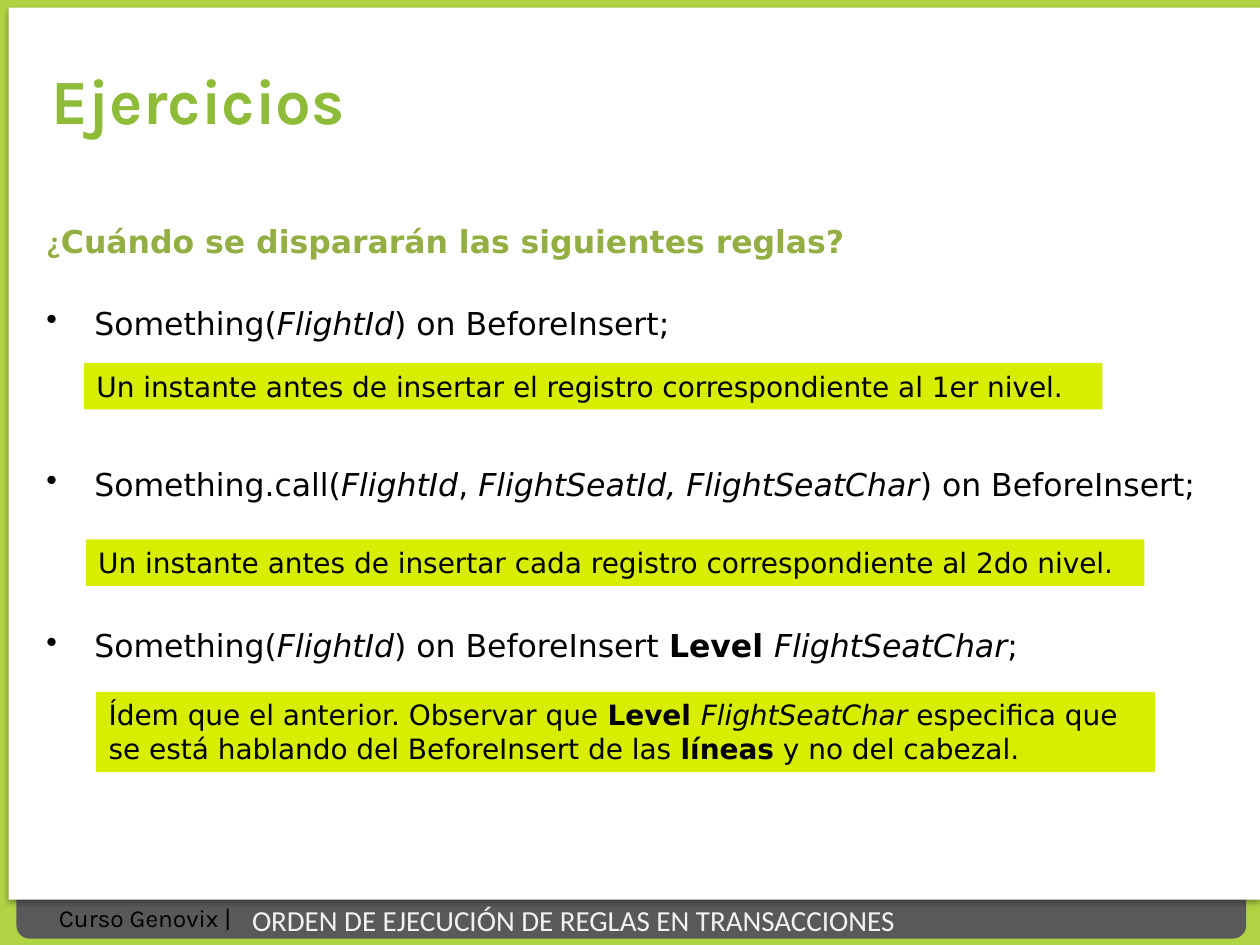
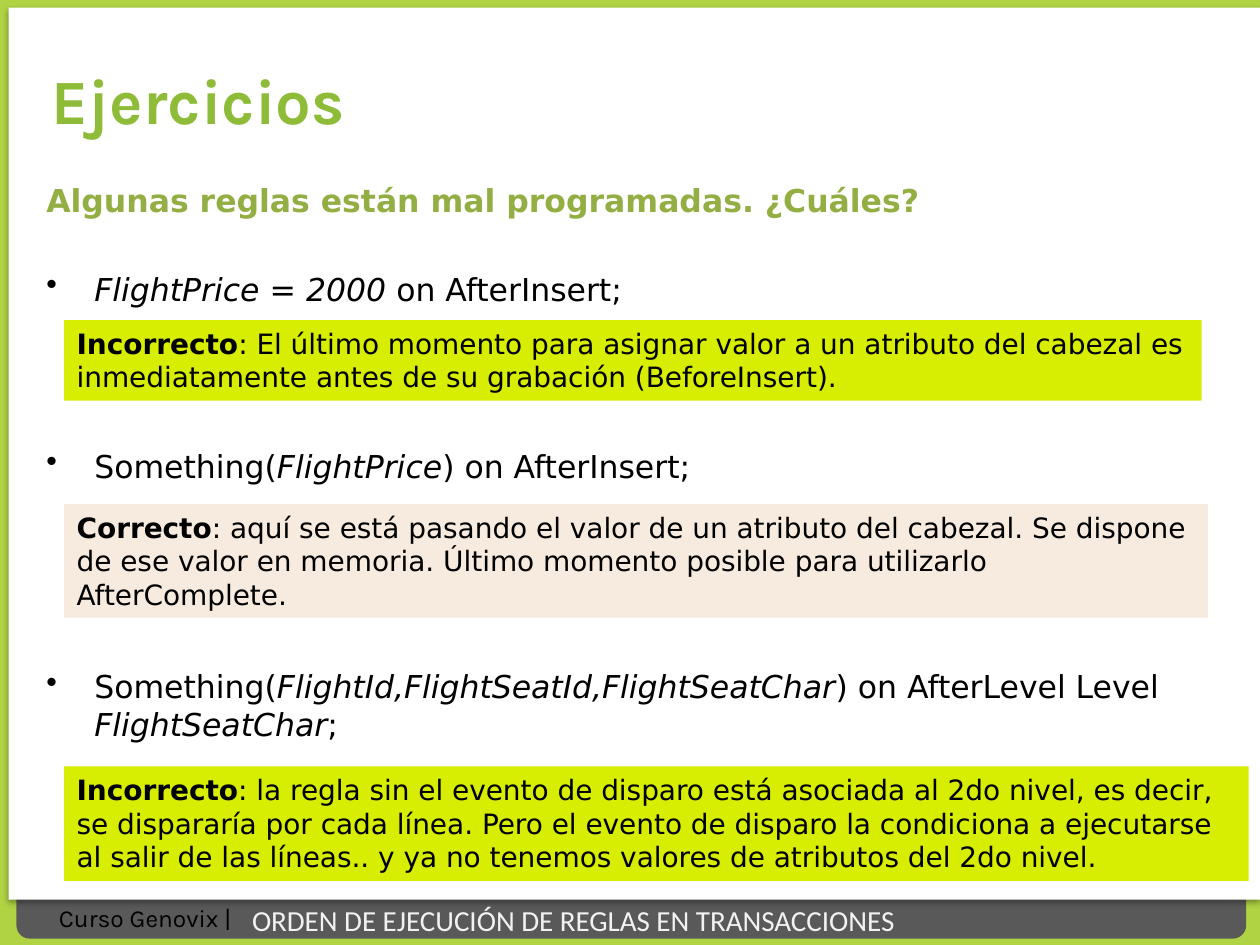
from typing import NamedTuple

from lxml.etree import SubElement
from pptx import Presentation
from pptx.dml.color import RGBColor
from pptx.dml.fill import FillFormat
from pptx.enum.shapes import MSO_SHAPE
from pptx.enum.text import MSO_ANCHOR, MSO_AUTO_SIZE, PP_ALIGN
from pptx.oxml.ns import qn
from pptx.shapes.autoshape import Shape
from pptx.slide import Slide
from pptx.util import Pt

LIME, GRAY, WHITE, BLACK = "A6CE2A", "595959", "FFFFFF", "000000"
TITLE_GREEN, QUESTION_GREEN, FOOTER_TEXT = "8EBB38", "93AE43", "F2F2F2"
ANSWER_LIME, ANSWER_CREAM = "D7ED01", "F6EBDE"
BODY_FONT, TITLE_FONT, FOOTER_FONT = "DejaVu Sans", "Karla", "Calibri"
BULLET_INDENT = 27.4


class Area(NamedTuple):
    left: float
    top: float
    width: float
    height: float


class Span(NamedTuple):
    text: str
    bold: bool = False
    italic: bool = False
    font: str = BODY_FONT


class Rule(NamedTuple):
    gap: float
    spans: list[Span]


class Answer(NamedTuple):
    area: Area
    spans: list[Span]
    color: str = ANSWER_LIME


class Exercise(NamedTuple):
    area: Area
    line_spacing: float
    question: list[Span]
    rules: list[Rule]
    answers: list[Answer]


def bold(text: str, font: str = BODY_FONT) -> Span:
    return Span(text, bold=True, font=font)


def italic(text: str) -> Span:
    return Span(text, italic=True)


EXERCISES = [
    Exercise(
        Area(19.4, 126, 686, 340.6), 0.9,
        [bold("¿", FOOTER_FONT), bold("Cuándo se dispararán las siguientes reglas?")],
        [
            Rule(27, [Span("Something("), italic("FlightId"), Span(") on BeforeInsert;")]),
            Rule(72.7, [Span("Something.call("), italic("FlightId"), Span(", "),
                        italic("FlightSeatId, FlightSeatChar"), Span(") on BeforeInsert;")]),
            Rule(72.7, [Span("Something("), italic("FlightId"), Span(") on BeforeInsert "),
                        bold("Level "), italic("FlightSeatChar"), Span(";")]),
        ],
        [
            Answer(Area(48, 207.4, 582, 26.6),
                   [Span("Un instante antes de insertar el registro correspondiente al 1er nivel.")]),
            Answer(Area(49, 308.2, 605, 26.6),
                   [Span("Un instante antes de insertar cada registro correspondiente al 2do nivel.")]),
            Answer(Area(55, 395.3, 605, 46),
                   [Span("Ídem que el anterior. Observar que "), bold("Level "),
                    italic("FlightSeatChar"),
                    Span(" especifica que se está hablando del BeforeInsert de las "),
                    bold("líneas"), Span(" y no del cabezal.")]),
        ],
    ),
    Exercise(
        Area(19.4, 100.1, 686, 340.6), 1.0,
        [bold("Algunas reglas están mal programadas. ¿Cuáles?")],
        [
            Rule(28.8, [italic("FlightPrice"), Span(" = "), italic("2000 "),
                        Span("on AfterInsert;")]),
            Rule(79.6, [Span("Something("), italic("FlightPrice"), Span(") on AfterInsert;")]),
            Rule(104.2, [Span("Something("), italic("FlightId,FlightSeatId,FlightSeatChar"),
                         Span(") on AfterLevel Level "), italic("FlightSeatChar"), Span(";")]),
        ],
        [
            Answer(Area(36.7, 182.9, 650, 46),
                   [bold("Incorrecto"),
                    Span(": El último momento para asignar valor a un atributo del cabezal es "
                         "inmediatamente antes de su grabación (BeforeInsert).")]),
            Answer(Area(36.7, 288, 653.5, 65),
                   [bold("Correcto"),
                    Span(": aquí se está pasando el valor de un atributo del cabezal. Se dispone "
                         "de ese valor en memoria. Último momento posible para utilizarlo "
                         "AfterComplete.")], ANSWER_CREAM),
            Answer(Area(36.7, 437.9, 676.8, 65.5),
                   [bold("Incorrecto"),
                    Span(": la regla sin el evento de disparo está asociada al 2do nivel, es decir, "
                         "se dispararía por cada línea. Pero el evento de disparo la condiciona a "
                         "ejecutarse al salir de las líneas.. y ya no tenemos valores de atributos "
                         "del 2do nivel.")]),
        ],
    ),
]


def points(area: Area) -> list[Pt]:
    return [Pt(length) for length in area]


def paint(fill: FillFormat, color: str) -> None:
    fill.solid()
    fill.fore_color.rgb = RGBColor.from_string(color)


def write(para, spans: list[Span], size: float, color: str) -> None:
    for span in spans:
        run = para.add_run()
        run.text = span.text
        font = run.font
        font.name, font.size = span.font, Pt(size)
        font.bold, font.italic = span.bold, span.italic
        paint(font.fill, color)


def add_panel(page: Slide, kind: MSO_SHAPE, area: Area, color: str) -> Shape:
    panel = page.shapes.add_shape(kind, *points(area))
    paint(panel.fill, color)
    panel.line.fill.background()
    panel.shadow.inherit = False
    return panel


def add_text_box(page: Slide, area: Area) -> Shape:
    box = page.shapes.add_textbox(*points(area))
    box.text_frame.word_wrap = True
    return box


def cast_shadow(panel: Shape) -> None:
    effects = panel._element.spPr.find(qn("a:effectLst"))
    shadow = SubElement(effects, qn("a:outerShdw"), blurRad=str(Pt(3.1)), dist=str(Pt(1.8)),
                        dir="5400000", algn="ctr", rotWithShape="0")
    tint = SubElement(shadow, qn("a:srgbClr"), val=BLACK)
    SubElement(tint, qn("a:alpha"), val="35000")


def add_backdrop(page: Slide) -> None:
    backdrop = add_panel(page, MSO_SHAPE.RECTANGLE, Area(0, 0, 720, 540), LIME)
    tint = backdrop._element.spPr.find(f"{qn('a:solidFill')}/{qn('a:srgbClr')}")
    SubElement(tint, qn("a:alpha"), val="88000")
    add_panel(page, MSO_SHAPE.ROUNDED_RECTANGLE, Area(9.4, 491, 702.7, 45.4), GRAY)
    cast_shadow(add_panel(page, MSO_SHAPE.RECTANGLE, Area(5, 4.3, 715, 509.8), WHITE))


def add_footer(page: Slide) -> None:
    course = add_text_box(page, Area(26.6, 512.6, 115.2, 24.5))
    write(course.text_frame.paragraphs[0], [Span("Curso Genovix |", font=TITLE_FONT)], 14, BLACK)
    topic = add_text_box(page, Area(144, 512, 397.4, 27.4))
    frame = topic.text_frame
    frame.margin_left = frame.margin_right = frame.margin_top = frame.margin_bottom = 0
    frame.vertical_anchor = MSO_ANCHOR.MIDDLE
    write(frame.paragraphs[0],
          [Span("ORDEN DE EJECUCIÓN DE REGLAS EN TRANSACCIONES", font=FOOTER_FONT)],
          16.6, FOOTER_TEXT)


def place_title(page: Slide) -> None:
    """Format the title placeholder and lift it above the backdrop."""
    title = page.shapes.title
    title.left, title.top, title.width, title.height = points(Area(22.3, 31.7, 351.4, 67.7))
    frame = title.text_frame
    frame.auto_size = MSO_AUTO_SIZE.NONE
    frame.vertical_anchor = MSO_ANCHOR.TOP
    para = frame.paragraphs[0]
    para.alignment = PP_ALIGN.LEFT
    write(para, [bold("Ejercicios", TITLE_FONT)], 36, TITLE_GREEN)
    title._element.getparent().append(title._element)


def add_rules(page: Slide, exercise: Exercise) -> None:
    frame = add_text_box(page, exercise.area).text_frame
    heading = frame.paragraphs[0]
    heading.line_spacing = exercise.line_spacing
    write(heading, exercise.question, 18, QUESTION_GREEN)
    for rule in exercise.rules:
        para = frame.add_paragraph()
        properties = para._p.get_or_add_pPr()
        properties.set("marL", str(Pt(BULLET_INDENT)))
        properties.set("indent", str(-Pt(BULLET_INDENT)))
        SubElement(properties, qn("a:buChar"), char="•")
        para.line_spacing = exercise.line_spacing
        para.space_before = Pt(rule.gap)
        write(para, rule.spans, 18, BLACK)


def add_answer(page: Slide, answer: Answer) -> None:
    panel = add_panel(page, MSO_SHAPE.RECTANGLE, answer.area, answer.color)
    frame = panel.text_frame
    frame.word_wrap = True
    frame.auto_size = MSO_AUTO_SIZE.SHAPE_TO_FIT_TEXT
    frame.vertical_anchor = MSO_ANCHOR.TOP
    para = frame.paragraphs[0]
    para.alignment = PP_ALIGN.LEFT
    write(para, answer.spans, 16, BLACK)


def main() -> None:
    deck = Presentation()
    deck.slide_width, deck.slide_height = Pt(720), Pt(540)
    title_only = deck.slide_layouts[5]
    for exercise in EXERCISES:
        page = deck.slides.add_slide(title_only)
        add_backdrop(page)
        place_title(page)
        add_rules(page, exercise)
        for answer in exercise.answers:
            add_answer(page, answer)
        add_footer(page)
    deck.save("out.pptx")


if __name__ == "__main__":
    main()
